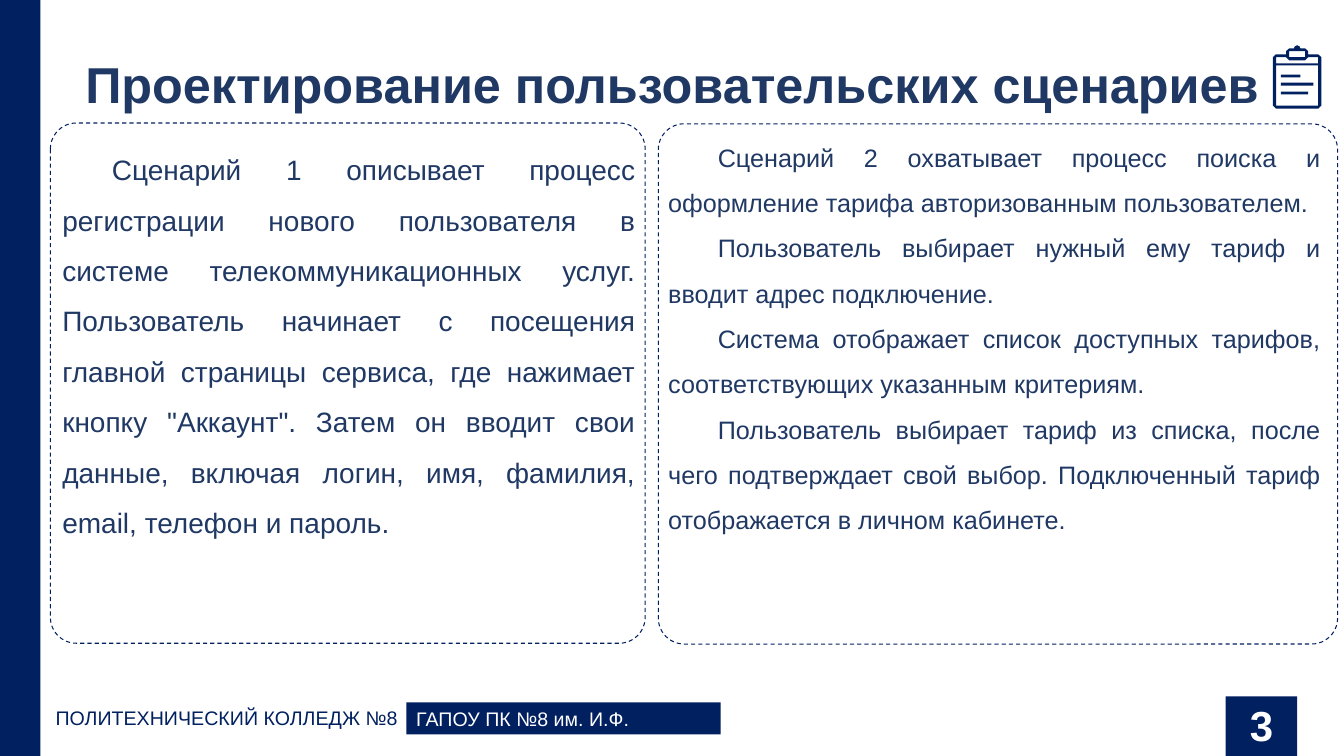
from pptx import Presentation
from pptx.dml.color import RGBColor
from pptx.enum.dml import MSO_LINE
from pptx.enum.shapes import MSO_SHAPE
from pptx.enum.text import MSO_ANCHOR, PP_ALIGN
from pptx.util import Cm, Pt

RECT, ROUND = MSO_SHAPE.RECTANGLE, MSO_SHAPE.ROUNDED_RECTANGLE
TOP, MID, LOW = MSO_ANCHOR.TOP, MSO_ANCHOR.MIDDLE, MSO_ANCHOR.BOTTOM
LEFT, MIDDLE, FULL = PP_ALIGN.LEFT, PP_ALIGN.CENTER, PP_ALIGN.JUSTIFY
DASH = MSO_LINE.DASH

HUES = {"navy": "002060", "ink": "203864", "white": "FFFFFF"}

# Content: text, place in cm, format
TITLE = ["Проектирование пользовательских сценариев"]
FIRST = [
    "Сценарий 1 описывает процесс регистрации нового пользователя в системе "
    "телекоммуникационных услуг. Пользователь начинает с посещения главной "
    "страницы сервиса, где нажимает кнопку \"Аккаунт\". Затем он вводит свои "
    "данные, включая логин, имя, фамилия, email, телефон и пароль.",
]
SECOND = [
    "Сценарий 2 охватывает процесс поиска и оформление тарифа "
    "авторизованным пользователем.",
    "Пользователь выбирает нужный ему тариф и вводит адрес подключение.",
    "Система отображает список доступных тарифов, соответствующих "
    "указанным критериям.",
    "Пользователь выбирает тариф из списка, после чего подтверждает свой "
    "выбор. Подключенный тариф отображается в личном кабинете.",
]
BODY = {"hue": "ink", "align": FULL, "space": 1.5, "indent": 1.25}
TEXTS = [
    (TITLE, (1.9, 1.14, 30.78, 1.14),
     {"size": 36, "bold": True, "hue": "ink", "space": 1.5, "anchor": MID}),
    (FIRST, (1.32, 3.3, 14.94, 10.52), {**BODY, "size": 20}),
    (SECOND, (16.59, 3.07, 16.94, 10.64), {**BODY, "size": 18}),
    (["ПОЛИТЕХНИЧЕСКИЙ КОЛЛЕДЖ №8"], (1.27, 17.09, 9.55, 2.08),
     {"size": 14, "hue": "navy", "space": 0.9, "anchor": MID, "inset": 0.13}),
]
BLOCKS = [
    ([], (0, 0, 1.02, 19.05), {}),
    (["3"], (30.89, 17.55, 1.8, 1.5),
     {"size": 30, "bold": True, "hue": "white", "align": MIDDLE,
      "space": 0.9, "anchor": LOW}),
    (["ГАПОУ ПК №8 им. И.Ф."], (10.24, 17.7, 7.92, 0.81),
     {"size": 14, "hue": "white"}),
]
FRAMES = [(1.27, 3.1, 14.99, 13.11), (16.59, 3.12, 17.12, 13.11)]

# Clipboard contours in hundredths of a cm
ICON_AT = (32.08, 1.14)
RIM = [(0, 30), (7, 23), (33, 23), (33, 15), (41, 8), (53, 8), (55, 3),
       (61, 0), (67, 3), (69, 8), (81, 8), (89, 15), (89, 23), (114, 23),
       (122, 30), (122, 152), (114, 160), (8, 160), (0, 152)]
BAND = [(8, 30), (33, 30), (41, 38), (81, 38), (89, 30), (114, 30),
        (114, 46), (8, 46)]
HOLES = [(8, 51, 114, 152), (41, 15, 81, 30)]
BARS = [(20, 74, 69, 81), (20, 94, 102, 102), (20, 117, 89, 124)]


def color(name):
    return RGBColor.from_string(HUES[name])


def place(box):
    return [Cm(n) for n in box]


def box_points(x1, y1, x2, y2):
    return [(x1, y1), (x2, y1), (x2, y2), (x1, y2)]


def write(shape, lines, form):
    frame = shape.text_frame
    frame.word_wrap = True
    frame.vertical_anchor = form.get("anchor", TOP)
    if "inset" in form:
        for side in ("left", "top", "right", "bottom"):
            setattr(frame, "margin_" + side, Cm(form["inset"]))
    for i, line in enumerate(lines):
        para = frame.add_paragraph() if i else frame.paragraphs[0]
        para.alignment = form.get("align", LEFT)
        para.line_spacing = form.get("space", 1.0)
        if "indent" in form:
            para._p.get_or_add_pPr().set("indent", str(Cm(form["indent"])))
        run = para.add_run()
        run.text = line
        font = {"name": "Arial", "size": Pt(form["size"]),
                "bold": form.get("bold", False)}
        for key, value in font.items():
            setattr(run.font, key, value)
        run.font.color.rgb = color(form["hue"])


def paint(shape):
    shape.shadow.inherit = False
    shape.fill.solid()
    shape.fill.fore_color.rgb = color("navy")
    shape.line.fill.background()


deck = Presentation()
deck.slide_width, deck.slide_height = Cm(33.87), Cm(19.05)
slide = deck.slides.add_slide(deck.slide_layouts[6])
shapes = slide.shapes

# Side strip, page number and college tag
for lines, box, form in BLOCKS:
    block = shapes.add_shape(RECT, *place(box))
    paint(block)
    write(block, lines, form)

# Title, scenarios and footer
for lines, box, form in TEXTS:
    write(shapes.add_textbox(*place(box)), lines, form)

# Clipboard icon
rings = [RIM, BAND] + [box_points(*b) for b in HOLES + BARS]
pen = shapes.build_freeform(*rings[0][0], scale=Cm(1) / 100)
for i, ring in enumerate(rings):
    if i:
        pen.move_to(*ring[0])
    pen.add_line_segments(ring[1:], close=True)
paint(pen.convert_to_shape(*place(ICON_AT)))

# Dashed frames round the scenarios
for box in FRAMES:
    panel = shapes.add_shape(ROUND, *place(box))
    panel.adjustments[0] = 0.05
    panel.shadow.inherit = False
    panel.fill.background()
    panel.line.color.rgb = color("navy")
    for key, value in {"width": Pt(0.75), "dash_style": DASH}.items():
        setattr(panel.line, key, value)

deck.save("out.pptx")
